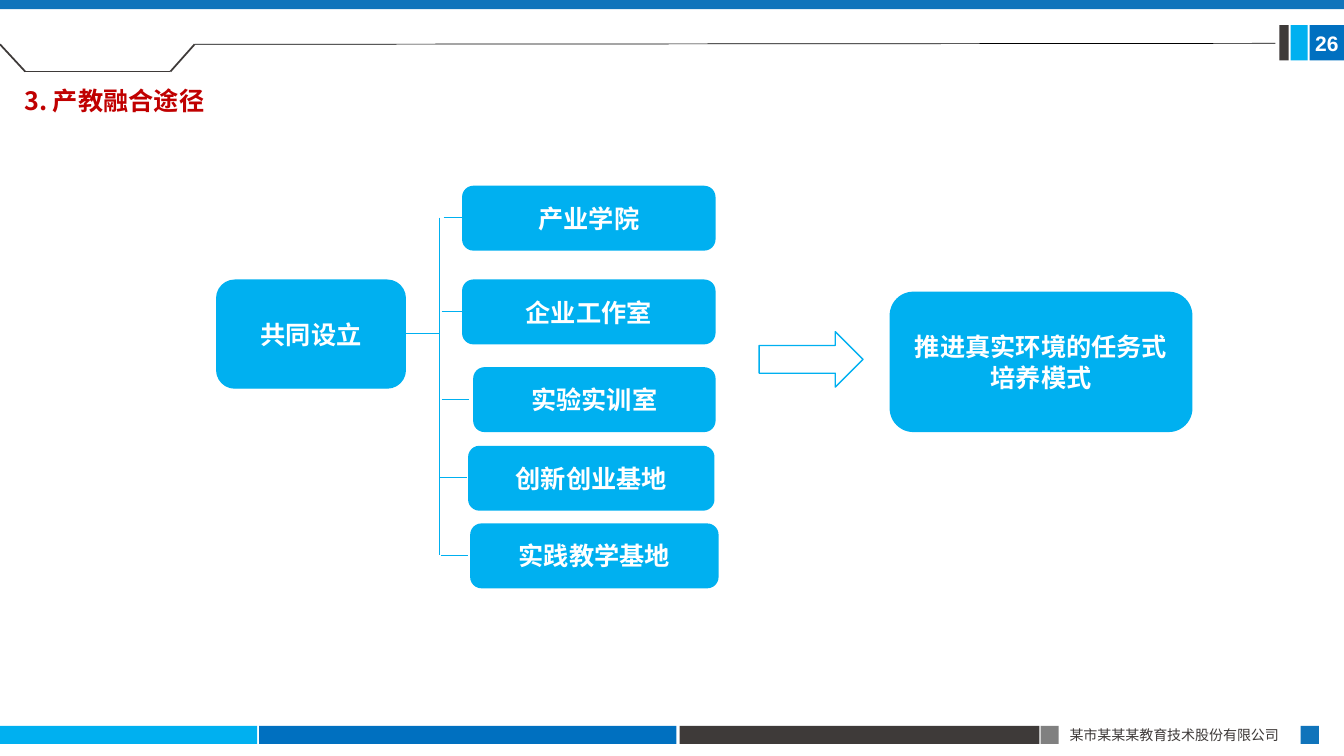
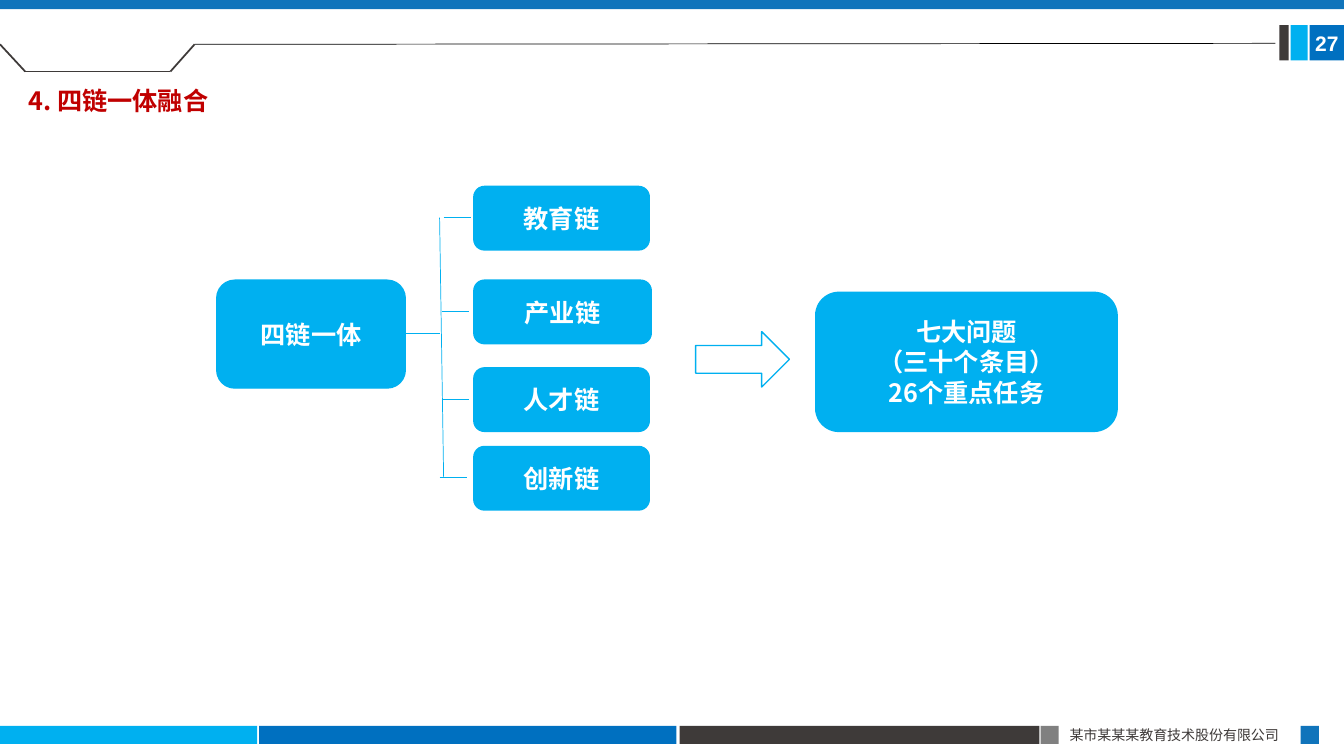
from itertools import pairwise
from lxml.etree import SubElement
from pptx import Presentation
from pptx.dml.color import RGBColor
from pptx.enum.shapes import MSO_CONNECTOR, MSO_SHAPE
from pptx.enum.text import MSO_ANCHOR, MSO_AUTO_SIZE, PP_ALIGN
from pptx.oxml.ns import qn
from pptx.util import Inches, Pt

SKY, BLUE, NAVY = "00B0F0", "0070C0", "1074BB"
DARK, GREY, RED, WHITE = "3E3A39", "808080", "C00000", "FFFFFF"
SANS = "Noto Sans CJK SC"

BARS = [
    (0, 7.2, 2.55, 0.18, SKY),
    (2.57, 7.2, 4.14, 0.18, BLUE),
    (6.74, 7.2, 3.57, 0.18, DARK),
    (10.32, 7.2, 0.18, 0.18, GREY),
    (12.9, 7.2, 0.18, 0.18, NAVY),
    (12.8, 0.25, 0.17, 0.35, SKY),
    (12.69, 0.25, 0.09, 0.35, DARK),
    (0, 0, 13.33, 0.09, NAVY),
]
NOTCH = [(0, 0.44), (0.25, 0.71), (1.69, 0.71), (1.93, 0.44)]
OWNER = "某市某某某教育技术股份有限公司"

ROOT = (2.15, 2.78, 1.87, 1.07)
ROOT_Y = 3.31
TRUNK_X = 4.36
ROWS = [1.85, 2.78, 3.65, 4.43, 5.2]
TWIGS = [4.4, 4.38, 4.38, 4.36, 4.37]
ROW_H = 0.63
TWIG_W = 0.27

PAGES = [
    dict(
        number="26", title="3. 产教融合途径", title_x=0.14, root="共同设立",
        items=[("产业学院", 4.59, 2.5), ("企业工作室", 4.59, 2.5),
               ("实验实训室", 4.7, 2.39), ("创新创业基地", 4.65, 2.43),
               ("实践教学基地", 4.67, 2.45)],
        trunk_end=4.36, arrow=(7.53, 1.03),
        goal=["推进真实环境的任务式培养模式"], goal_x=8.83,
    ),
    dict(
        number="27", title="4. 四链一体融合", title_x=0.18, root="四链一体",
        items=[("教育链", 4.7, 1.74), ("产业链", 4.7, 1.76),
               ("人才链", 4.7, 1.74), ("创新链", 4.7, 1.74)],
        trunk_end=4.4, arrow=(6.9, 0.93),
        goal=["七大问题", "（三十个条目）", "26个重点任务"], goal_x=8.09,
    ),
]


def rgb(code):
    return RGBColor.from_string(code)


def write(shape, lines, size=18, color=WHITE, bold=True, face=SANS,
          align=PP_ALIGN.CENTER, spacing=None, **frame_format):
    """Fill the shape with one paragraph per line; frame_format sets the frame."""
    frame = shape.text_frame
    frame_format = {"word_wrap": True, "auto_size": MSO_AUTO_SIZE.NONE,
                    "vertical_anchor": MSO_ANCHOR.MIDDLE, **frame_format}
    for name, value in frame_format.items():
        setattr(frame, name, value)
    frame.text = "\n".join(lines)
    for para in frame.paragraphs:
        para.alignment = align
        if spacing:
            para.line_spacing = spacing
        for run in para.runs:
            style = {"name": face, "size": Pt(size), "bold": bold}
            for name, value in style.items():
                setattr(run.font, name, value)
            run.font.color.rgb = rgb(color)
            SubElement(run.font._element, qn("a:ea"), typeface=face)


def block(slide, kind, x, y, w, h, fill, edge=None):
    shape = slide.shapes.add_shape(kind, *map(Inches, (x, y, w, h)))
    shape.shadow.inherit = False
    shape.fill.solid()
    shape.fill.fore_color.rgb = rgb(fill)
    if edge:
        shape.line.color.rgb = rgb(edge)
        shape.line.width = Pt(1)
    else:
        shape.line.fill.background()
    return shape


def card(slide, x, y, w, h, lines, **insets):
    shape = block(slide, MSO_SHAPE.ROUNDED_RECTANGLE, x, y, w, h, SKY, SKY)
    write(shape, lines, **insets)


def line(slide, start, end, color=SKY, width=0.5):
    link = slide.shapes.add_connector(
        MSO_CONNECTOR.STRAIGHT, *map(Inches, (*start, *end)))
    link.line.color.rgb = rgb(color)
    link.line.width = Pt(width)
    SubElement(link._element.spPr, qn("a:effectLst"))


def frame_page(slide, number):
    """Draw the bars, notch, footer and page number that all slides share."""
    for *place, color in BARS:
        block(slide, MSO_SHAPE.RECTANGLE, *place, color)
    owner = slide.shapes.add_textbox(*map(Inches, (10.51, 7.16, 2.4, 0.27)))
    write(owner, [OWNER], size=10, color=DARK, bold=False, align=PP_ALIGN.LEFT)
    badge = block(slide, MSO_SHAPE.RECTANGLE, 12.99, 0.25, 0.34, 0.35, BLUE)
    write(badge, [number], size=15, face="Arial", margin_left=0, margin_right=0)
    for start, end in pairwise(NOTCH):
        line(slide, start, end, DARK, 1.25)
    line(slide, NOTCH[-1], (12.65, 0.43), "000000")


def set_title(slide, text, x):
    title = slide.shapes.title
    place = {"left": x, "top": 0.71, "width": 2.02, "height": 0.49}
    for name, value in place.items():
        setattr(title, name, Inches(value))
    write(title, [text], color=RED, align=PP_ALIGN.LEFT, spacing=1.3,
          vertical_anchor=MSO_ANCHOR.TOP)


def draw_tree(slide, root, items, trunk_end):
    """Draw the root card, its trunk and one twig and card per item."""
    card(slide, *ROOT, [root])
    mids = [y + 0.31 for y in ROWS[:len(items)]]
    line(slide, (ROOT[0] + ROOT[2], ROOT_Y), (TRUNK_X, ROOT_Y))
    line(slide, (TRUNK_X, mids[0]), (trunk_end, mids[-1]))
    for x, y in zip(TWIGS, mids):
        line(slide, (x, y), (x + TWIG_W, y))
    for y, (label, x, w) in zip(ROWS, items):
        card(slide, x, y, w, ROW_H, [label])


def draw_goal(slide, arrow, goal, x):
    left, width = arrow
    block(slide, MSO_SHAPE.RIGHT_ARROW, left, 3.29, width, 0.55, WHITE, SKY)
    card(slide, x, 2.9, 2.99, 1.38, goal,
         margin_left=Inches(0.13), margin_right=Inches(0.13))


def main():
    deck = Presentation()
    deck.slide_width, deck.slide_height = Inches(13.33), Inches(7.5)
    layout = deck.slide_layouts.get_by_name("Title Only")
    for page in PAGES:
        slide = deck.slides.add_slide(layout)
        frame_page(slide, page["number"])
        set_title(slide, page["title"], page["title_x"])
        draw_tree(slide, page["root"], page["items"], page["trunk_end"])
        draw_goal(slide, page["arrow"], page["goal"], page["goal_x"])
    deck.save("out.pptx")


if __name__ == "__main__":
    main()
